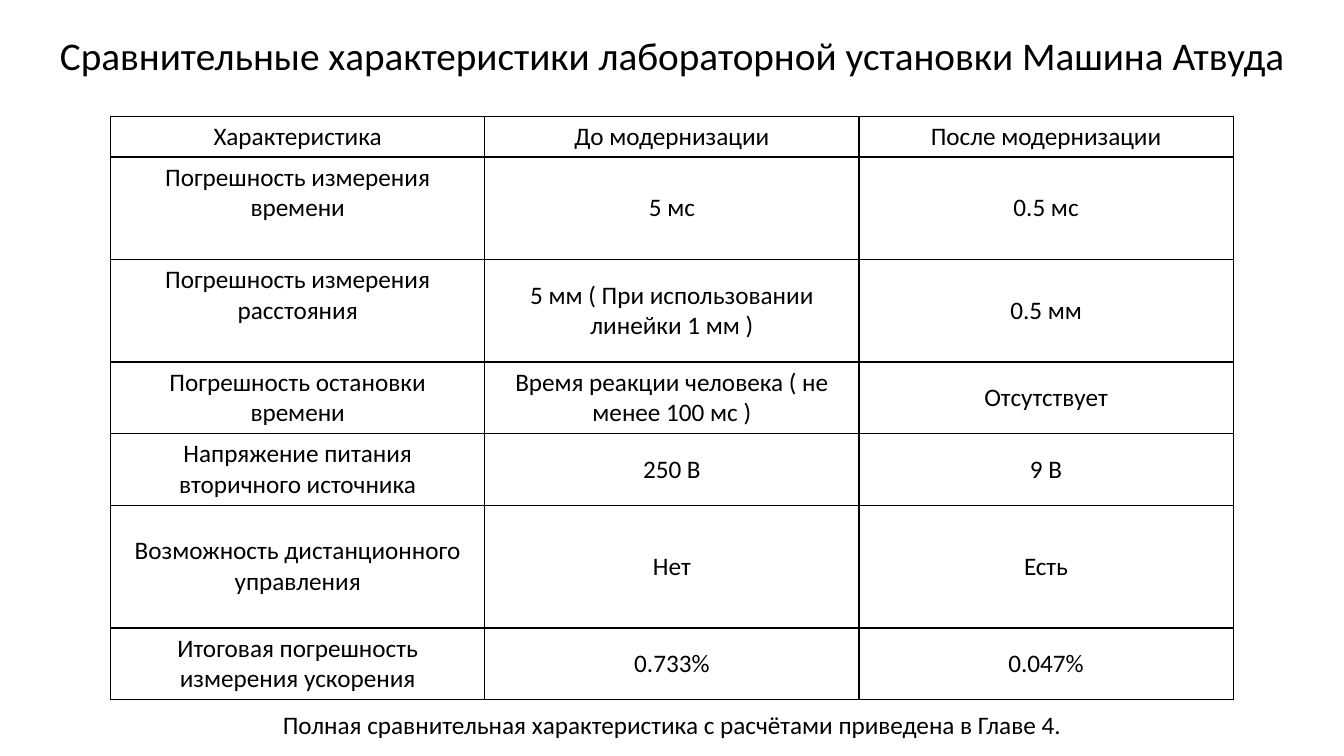
"""Build a slide that compares a laboratory setup before and after an upgrade."""
from dataclasses import dataclass

import pptx
import pptx.dml.color
import pptx.enum.text
import pptx.oxml
import pptx.oxml.ns
import pptx.util

Pt = pptx.util.Pt
Anchor = pptx.enum.text.MSO_ANCHOR


@dataclass(frozen=True)
class Theme:
    """Fonts, type sizes and colours of the slide."""
    font: str = "Calibri"
    title: int = 28
    body: int = 18
    ink: str = "000000"
    border: int = 1


class SlideBuilder:
    """Draws styled elements on the current slide."""

    def __init__(self, s, theme):
        self.s = s
        self.theme = theme

    def fill_text(self, tf, text, size, **formats):
        """Put one centred line of text in a text frame."""
        p = tf.paragraphs[0]
        formats = {"alignment": pptx.enum.text.PP_ALIGN.CENTER, **formats}
        for name, value in formats.items():
            setattr(p, name, value)
        r = p.add_run()
        r.text = text
        for name, value in {"name": self.theme.font, "size": Pt(size), "bold": False}.items():
            setattr(r.font, name, value)
        r.font.color.rgb = pptx.dml.color.RGBColor.from_string(self.theme.ink)

    def text(self, box, text, size, anchor=Anchor.TOP, **formats):
        """Add a wrapped text box."""
        sp = self.s.shapes.add_textbox(*map(Pt, box))
        tf = sp.text_frame
        for name, value in {"word_wrap": True, "vertical_anchor": anchor}.items():
            setattr(tf, name, value)
        self.fill_text(tf, text, size, **formats)

    def outline(self, cell):
        """Draw the four borders of a cell."""
        tc_pr = cell._tc.get_or_add_tcPr()
        for i, side in enumerate("LRTB"):
            tc_pr.insert(i, pptx.oxml.parse_xml(
                f'<a:ln{side} {pptx.oxml.ns.nsdecls("a")} w="{Pt(self.theme.border)}">'
                f'<a:solidFill><a:srgbClr val="{self.theme.ink}"/></a:solidFill></a:ln{side}>'))

    def table(self, left, top, col_width, row_heights, rows, top_cells):
        """Add a plain bordered table with equal columns."""
        cols = len(rows[0])
        frame = self.s.shapes.add_table(len(rows), cols, Pt(left), Pt(top),
                                        Pt(col_width * cols), Pt(sum(row_heights)))
        table = frame.table
        for name, value in {"first_row": False, "horz_banding": False}.items():
            setattr(table, name, value)
        for column in table.columns:
            column.width = Pt(col_width)
        for i, (height, row) in enumerate(zip(row_heights, rows)):
            table.rows[i].height = Pt(height)
            for j, text in enumerate(row):
                cell = table.cell(i, j)
                cell.fill.background()
                cell.vertical_anchor = Anchor.TOP if (i, j) in top_cells else Anchor.MIDDLE
                self.outline(cell)
                self.fill_text(cell.text_frame, text, self.theme.body)


ROWS = [
    ("Характеристика", "До модернизации", "После модернизации"),
    ("Погрешность измерения времени", "5 мс", "0.5 мс"),
    ("Погрешность измерения расстояния", "5 мм ( При использовании линейки 1 мм )", "0.5 мм"),
    ("Погрешность остановки времени", "Время реакции человека ( не менее 100 мс )", "Отсутствует"),
    ("Напряжение питания вторичного источника", "250 В", "9 В"),
    ("Возможность дистанционного управления", "Нет", "Есть"),
    ("Итоговая погрешность измерения ускорения", "0.733%", "0.047%"),
]
ROW_HEIGHTS = [29.2, 73.2, 73.2, 51.2, 51.2, 87.6, 51.2]


def main():
    """Build and save the slide."""
    prs = pptx.Presentation()
    for name, value in {"slide_width": Pt(960), "slide_height": Pt(540)}.items():
        setattr(prs, name, value)
    theme = Theme()
    slide = SlideBuilder(prs.slides.add_slide(prs.slide_layouts[6]), theme)
    slide.text((0, 0, 960, 82.8),
               "Сравнительные характеристики лабораторной установки Машина Атвуда",
               theme.title, Anchor.MIDDLE, line_spacing=0.9)
    slide.table(79, 83, 267.3, ROW_HEIGHTS, ROWS, top_cells={(1, 0), (2, 0)})
    slide.text((0, 503.3, 960, 29), "Полная сравнительная характеристика с расчётами приведена в Главе 4.",
               theme.body)
    prs.save("out.pptx")


if __name__ == "__main__":
    main()
